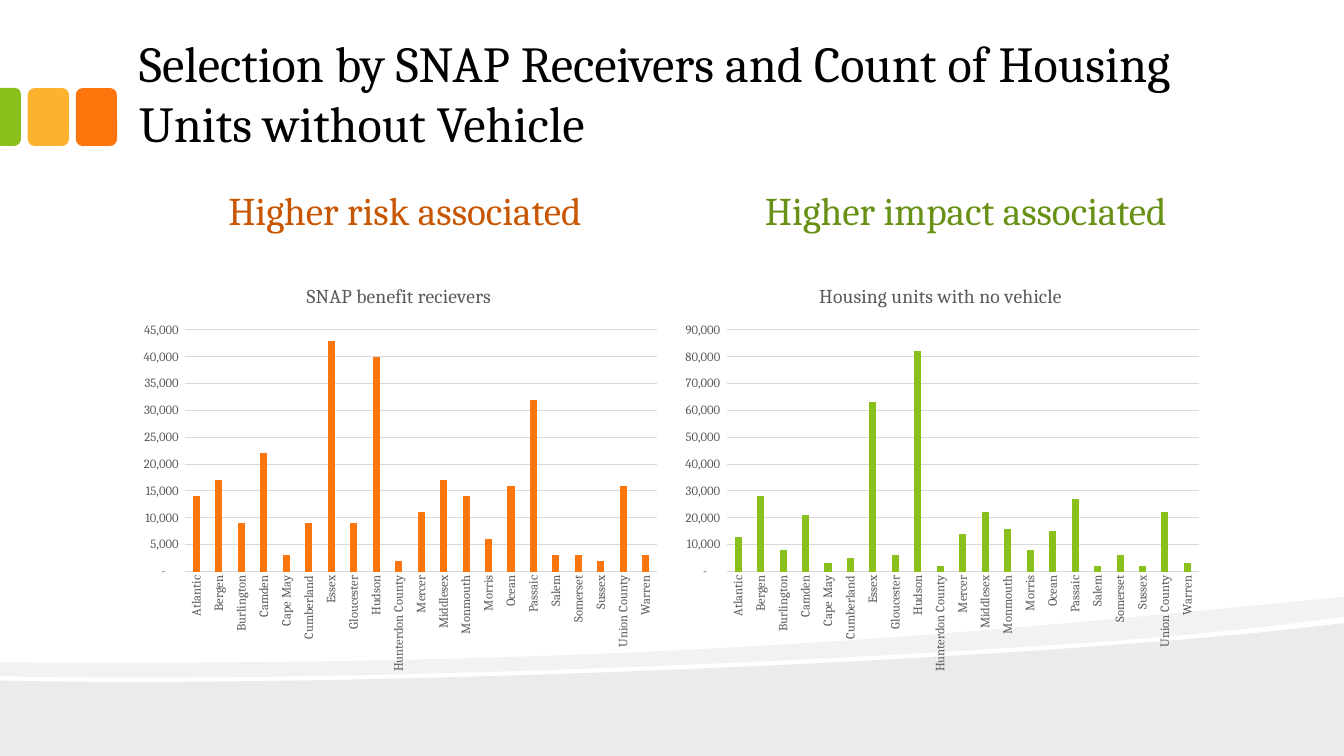
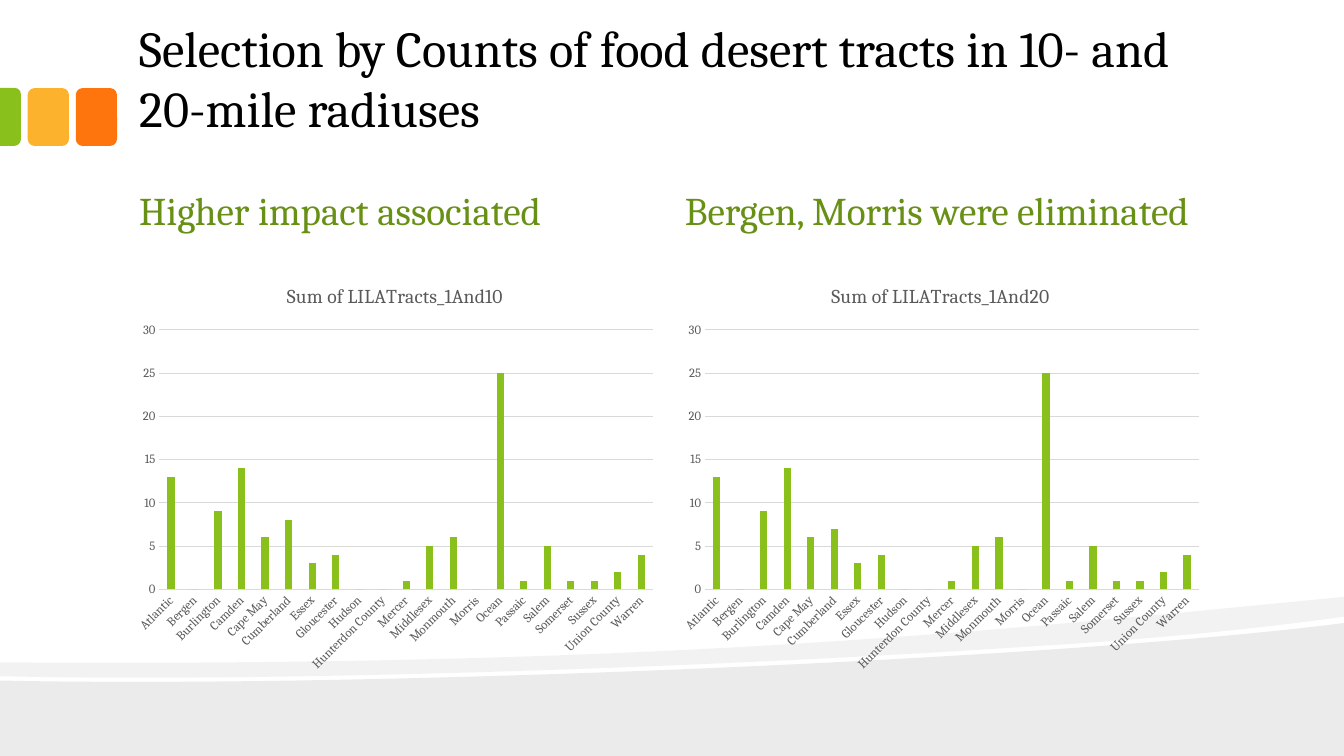
"""Build two slides that compare New Jersey counties with paired column charts."""
from dataclasses import dataclass

from lxml import etree
from pptx import Presentation
from pptx.chart.data import CategoryChartData
from pptx.dml.color import RGBColor
from pptx.enum import chart as kinds, shapes, text
from pptx.oxml import ns
from pptx.util import Cm, Pt


@dataclass(frozen=True)
class Theme:
    """Hold the colours, font and type sizes."""
    font: str = "Cambria"
    black: str = "000000"
    grey: str = "595959"
    rule: str = "D9D9D9"
    orange: str = "FE750E"
    gold: str = "FCB22C"
    green: str = "89C01C"
    rust: str = "C85601"
    moss: str = "679015"
    title: int = 36
    head: int = 28
    label: int = 14
    base: int = 10
    tick: int = 9


WIDE, HIGH = 33.87, 19.05
LEFT, RIGHT = 3.18, 16.93
HALF = 13.55
HEAD = 4.22
AUTO, STEEP = -1000, -90
COUNTS = '_(* #,##0_);_(* \\(#,##0\\);_(* "-"??_);_('
TOWNS = ("Atlantic", "Bergen", "Burlington", "Camden", "Cape May", "Cumberland",
         "Essex", "Gloucester", "Hudson", "Hunterdon County", "Mercer",
         "Middlesex", "Monmouth", "Morris", "Ocean", "Passaic", "Salem",
         "Somerset", "Sussex", "Union County", "Warren")
SNAP = (14000, 17000, 9000, 22000, 3000, 9000, 43000, 9000, 40000, 2000, 11000,
        17000, 14000, 6000, 16000, 32000, 3000, 3000, 2000, 16000, 3000)
CARLESS = (13000, 28000, 8000, 21000, 3000, 5000, 63000, 6000, 82000, 2000, 14000,
           22000, 16000, 8000, 15000, 27000, 2000, 6000, 2000, 22000, 3000)
TEN = (13, 0, 9, 14, 6, 8, 3, 4, 0, 0, 1, 5, 6, 0, 25, 1, 5, 1, 1, 2, 4)
TWENTY = (13, 0, 9, 14, 6, 7, 3, 4, 0, 0, 1, 5, 6, 0, 25, 1, 5, 1, 1, 2, 4)
FRONT = ((WIDE, 15.7), (WIDE, HIGH), (0, HIGH), (0, 17.15),
         (8.94, 17.35), (26.47, 16.64), (WIDE, 15.7))
BACK = ((WIDE, 15.04), (WIDE, 15.54),
        (31.88, 15.82), (29.18, 16.1), (26.14, 16.28),
        (17.73, 16.84), (6.55, 17.2), (0, 17.04), (0, 16.69),
        (16.56, 16.81), (24.66, 15.93), (WIDE, 15.04))


class Deck:
    """Draw the elements of the deck on its current slide."""

    def __init__(self, theme):
        """Open a wide deck."""
        self.theme = theme
        self.deck = Presentation()
        self.deck.slide_width, self.deck.slide_height = Cm(WIDE), Cm(HIGH)
        self.slide = None

    def page(self, title, top):
        """Start a slide with its bands, tabs and title."""
        self.slide = self.deck.slides.add_slide(self.deck.slide_layouts[6])
        self.band(FRONT, (4,), 8)
        self.band(BACK, (2, 5, 9), 5)
        square = shapes.MSO_SHAPE.ROUNDED_RECTANGLE
        for left, hue in ((1.91, self.theme.orange), (0.7, self.theme.gold)):
            self.tab(square, (left, 2.22, 1.04, 1.46), hue)
        edge = self.tab(shapes.MSO_SHAPE.ROUND_2_SAME_RECTANGLE,
                        (-0.47, 2.68, 1.46, 0.53), self.theme.green)
        edge.rotation = 90
        edge.adjustments[0] = 0.29
        self.words(title, (LEFT, top, 27.08, 3.61), self.theme.title,
                   self.theme.black, anchor=text.MSO_ANCHOR.BOTTOM)

    def paint(self, shape, hue):
        """Give a shape a flat fill."""
        shape.shadow.inherit = False
        shape.fill.solid()
        shape.fill.fore_color.rgb = RGBColor.from_string(hue)
        shape.line.fill.background()

    def band(self, points, bends, alpha):
        """Draw a see-through band whose curves start at the given points."""
        spots = [(Cm(x), Cm(y)) for x, y in points]
        pen = self.slide.shapes.build_freeform(*spots[0])
        pen.add_line_segments(spots[1:], close=True)
        shape = pen.convert_to_shape()
        self.paint(shape, self.theme.black)
        tint = shape.fill._xPr.find(".//" + ns.qn("a:srgbClr"))
        etree.SubElement(tint, ns.qn("a:alpha"), val=str(alpha * 1000))
        steps = list(shape._element.iter(ns.qn("a:moveTo"), ns.qn("a:lnTo")))
        for bend in bends:
            arc = etree.Element(ns.qn("a:cubicBezTo"))
            trio = steps[bend:bend + 3]
            trio[0].addprevious(arc)
            for step in trio:
                arc.append(step[0])
                step.getparent().remove(step)

    def tab(self, kind, box, hue):
        """Draw one coloured tab."""
        shape = self.slide.shapes.add_shape(kind, *map(Cm, box))
        self.paint(shape, hue)
        return shape

    def words(self, line, box, size, hue, align=text.PP_ALIGN.LEFT,
              anchor=text.MSO_ANCHOR.MIDDLE):
        """Add a text box and return its paragraph."""
        frame = self.slide.shapes.add_textbox(*map(Cm, box)).text_frame
        frame.word_wrap = True
        frame.vertical_anchor = anchor
        frame.margin_left = frame.margin_right = Cm(0.33)
        frame.margin_top = frame.margin_bottom = Cm(0.18)
        para = frame.paragraphs[0]
        para.text = line
        para.alignment = align
        self.style(para.font, size, hue)
        return para

    def style(self, font, size, hue):
        """Set font name, size and colour."""
        font.name = self.theme.font
        font.size = Pt(size)
        font.color.rgb = RGBColor.from_string(hue)

    def head(self, line, left, hue, width=HALF, align=text.PP_ALIGN.LEFT):
        """Add the heading above a chart."""
        para = self.words(line, (left, HEAD, width, 2.26), self.theme.head, hue, align)
        para.line_spacing = 0.9
        para.space_before = Pt(18)

    def chart(self, title, values, left, hue, turn, top, form="General"):
        """Add a column chart of the counties."""
        data = CategoryChartData(number_format=form)
        data.categories = TOWNS
        data.add_series(title, values)
        box = map(Cm, (left, 6.7, HALF, 10.44))
        chart = self.slide.shapes.add_chart(
            kinds.XL_CHART_TYPE.COLUMN_CLUSTERED, *box, data).chart
        self.style(chart.font, self.theme.base, self.theme.black)
        chart.has_legend = False
        chart.has_title = True
        para = chart.chart_title.text_frame.paragraphs[0]
        para.text = title
        self.style(para.font, self.theme.label, self.theme.grey)
        para.font.bold = False
        plot = chart.plots[0]
        plot.gap_width, plot.overlap = 219, -27
        plot.vary_by_categories = False
        fill = plot.series[0].format.fill
        fill.solid()
        fill.fore_color.rgb = RGBColor.from_string(hue)
        across, up = chart.category_axis, chart.value_axis
        for axis in (across, up):
            axis.major_tick_mark = axis.minor_tick_mark = kinds.XL_TICK_MARK.NONE
            self.style(axis.tick_labels.font, self.theme.tick, self.theme.grey)
        across._element.txPr.bodyPr.set("rot", str(turn * 60000))
        up.minimum_scale, up.maximum_scale = 0, top
        up.has_major_gridlines = True
        up.tick_labels.number_format = form
        up.tick_labels.number_format_is_linked = False
        for line in (across.format.line, up.major_gridlines.format.line):
            line.width = Pt(0.75)
            line.color.rgb = RGBColor.from_string(self.theme.rule)
        up.format.line.fill.background()


def main():
    """Build both slides and save them."""
    theme = Theme()
    deck = Deck(theme)
    mid = text.PP_ALIGN.CENTER

    deck.page("Selection by SNAP Receivers and Count of Housing Units without Vehicle", 0.42)
    deck.head("Higher risk associated", 3.43, theme.rust, align=mid)
    deck.head("Higher impact associated", 17.56, theme.moss, align=mid)
    deck.chart("SNAP benefit recievers", SNAP, 3.28, theme.orange, STEEP, 45000, COUNTS)
    deck.chart("Housing units with no vehicle", CARLESS, RIGHT, theme.green, STEEP,
               90000, COUNTS)

    deck.page("Selection by Counts of food desert tracts in 10- and 20-mile radiuses", 0.05)
    deck.head("Higher impact associated", LEFT, theme.moss)
    deck.head("Bergen, Morris were eliminated", RIGHT, theme.moss, 14.4)
    deck.chart("Sum of LILATracts_1And10", TEN, LEFT, theme.green, AUTO, 30)
    deck.chart("Sum of LILATracts_1And20", TWENTY, RIGHT, theme.green, AUTO, 30)

    deck.deck.save("out.pptx")


if __name__ == "__main__":
    main()
